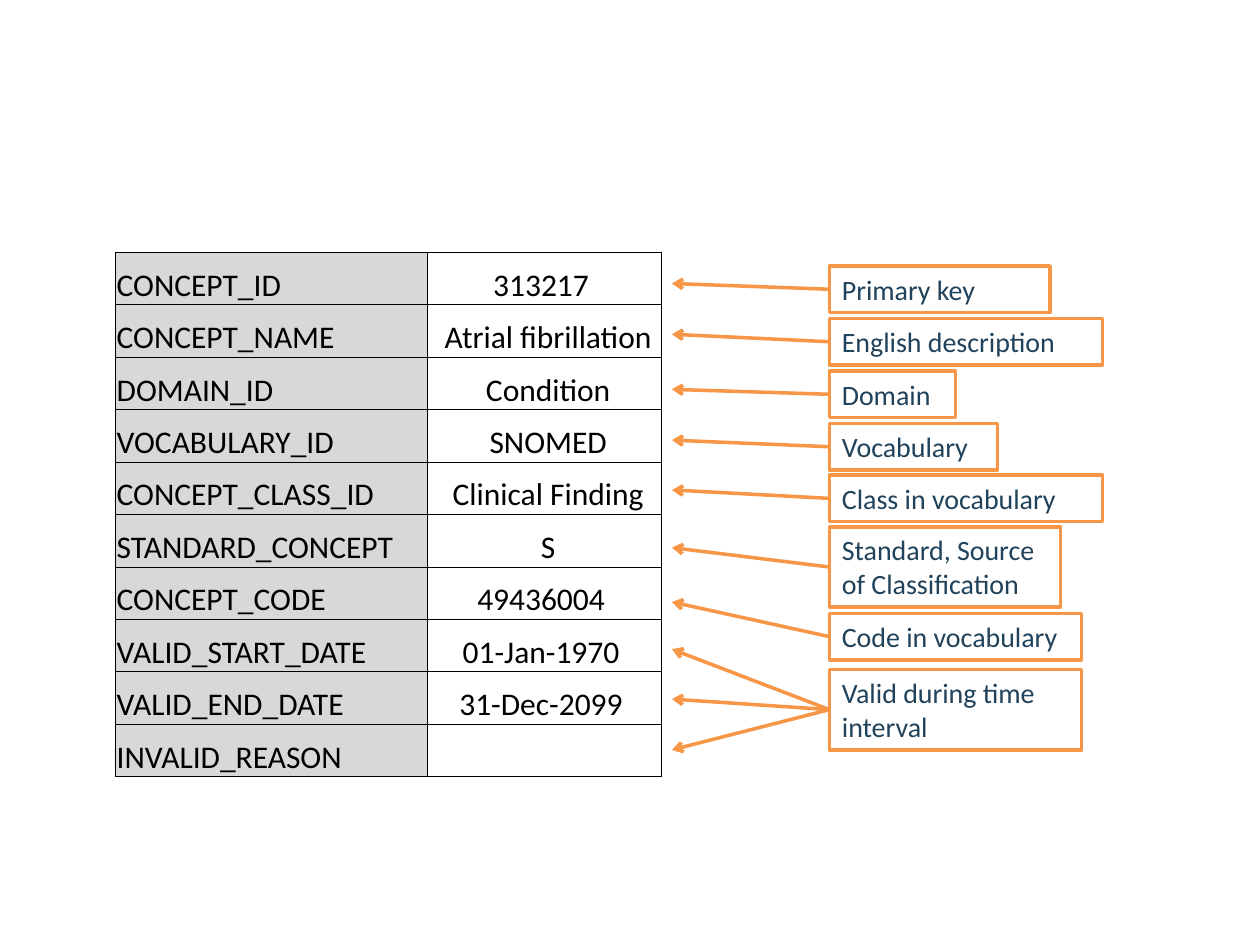
from dataclasses import dataclass

from lxml.etree import SubElement
from pptx import Presentation
from pptx.dml.color import RGBColor
from pptx.enum.shapes import MSO_CONNECTOR as Connector, MSO_SHAPE as Shape
from pptx.enum.text import MSO_ANCHOR as Anchor, MSO_AUTO_SIZE as AutoSize, PP_ALIGN as Align
from pptx.oxml.ns import qn
from pptx.slide import Slide
from pptx.util import Pt


@dataclass(frozen=True)
class Theme:
    font: str = "Calibri"
    accent: RGBColor = RGBColor(0xF7, 0x96, 0x46)
    note_text: RGBColor = RGBColor(0x20, 0x42, 0x5A)
    cell_text: RGBColor = RGBColor(0, 0, 0)
    field_fill: RGBColor = RGBColor(0xD8, 0xD8, 0xD8)
    paper: RGBColor = RGBColor(0xFF, 0xFF, 0xFF)
    border: str = "000000"
    note_size: float = 16
    cell_size: float = 18
    border_width: float = 0.5
    line_width: float = 2


@dataclass(frozen=True)
class Field:
    name: str
    value: str


@dataclass(frozen=True)
class Note:
    text: str
    top: float
    width: float
    tips: tuple[float, ...]
    lines: int = 1


THEME = Theme()
TABLE_LEFT, TABLE_TOP, ROW_HEIGHT = 66, 144, 30
COLUMNS = (178.5, 133.5)
NOTE_LEFT, TIP_X = 474, 384
NOTE_HEIGHTS = {1: 26.6, 2: 46}

FIELDS = (
    Field("CONCEPT_ID", "313217 "),
    Field("CONCEPT_NAME", " Atrial fibrillation"),
    Field("DOMAIN_ID", " Condition"),
    Field("VOCABULARY_ID", " SNOMED"),
    Field("CONCEPT_CLASS_ID", " Clinical Finding"),
    Field("STANDARD_CONCEPT", " S"),
    Field("CONCEPT_CODE", "49436004 "),
    Field("VALID_START_DATE", "01-Jan-1970 "),
    Field("VALID_END_DATE", "31-Dec-2099 "),
    Field("INVALID_REASON", ""),
)

NOTES = (
    Note("Primary key", 152, 126, (162,)),
    Note("English description", 182, 156, (191,)),
    Note("Domain", 212, 72, (222.5,)),
    Note("Vocabulary", 242, 96, (251.5,)),
    Note("Class in vocabulary", 271.5, 156, (280,)),
    Note("Standard, Source of Classification", 301, 132, (313,), 2),
    Note("Code in vocabulary", 350.5, 144, (344,)),
    Note("Valid during time interval", 382.5, 144, (371, 399.5, 428.5), 2),
)


def style_text(p, size: float, color: RGBColor, align: Align) -> None:
    p.alignment = align
    p.font.name = THEME.font
    p.font.size = Pt(size)
    p.font.bold = False
    p.font.color.rgb = color


def add_borders(cell) -> None:
    tc_pr = cell._tc.get_or_add_tcPr()
    for side in ("L", "R", "T", "B"):
        ln = SubElement(tc_pr, qn(f"a:ln{side}"), w=str(Pt(THEME.border_width)))
        fill = SubElement(ln, qn("a:solidFill"))
        SubElement(fill, qn("a:srgbClr"), val=THEME.border)


def fill_cell(cell, text: str, align: Align) -> None:
    cell.text = text
    cell.vertical_anchor = Anchor.BOTTOM
    cell.margin_left = cell.margin_right = cell.margin_top = Pt(0.72)
    cell.margin_bottom = 0
    style_text(cell.text_frame.paragraphs[0], THEME.cell_size, THEME.cell_text, align)
    add_borders(cell)


def add_field_table(s: Slide, fields: tuple[Field, ...]) -> None:
    table = s.shapes.add_table(
        len(fields), len(COLUMNS), Pt(TABLE_LEFT), Pt(TABLE_TOP),
        Pt(sum(COLUMNS)), Pt(ROW_HEIGHT * len(fields)),
    ).table
    table.first_row = table.horz_banding = False
    for column, width in zip(table.columns, COLUMNS):
        column.width = Pt(width)
    for row, field in zip(table.rows, fields):
        row.height = Pt(ROW_HEIGHT)
        name, value = row.cells
        fill_cell(name, field.name, Align.LEFT)
        name.fill.solid()
        name.fill.fore_color.rgb = THEME.field_fill
        fill_cell(value, field.value, Align.CENTER)
        value.fill.background()


def add_arrow(s: Slide, box, tip: float) -> None:
    arrow = s.shapes.add_connector(
        Connector.STRAIGHT, box.left, box.top + box.height // 2, Pt(TIP_X), Pt(tip)
    )
    arrow.begin_connect(box, 1)
    arrow.line.color.rgb = THEME.accent
    arrow.line.width = Pt(THEME.line_width)
    SubElement(arrow.line._get_or_add_ln(), qn("a:tailEnd"), type="arrow")
    SubElement(arrow._element.spPr, qn("a:effectLst"))


def add_note(s: Slide, note: Note) -> None:
    box = s.shapes.add_shape(
        Shape.RECTANGLE, Pt(NOTE_LEFT), Pt(note.top),
        Pt(note.width), Pt(NOTE_HEIGHTS[note.lines]),
    )
    box.shadow.inherit = False
    box.fill.solid()
    box.fill.fore_color.rgb = THEME.paper
    box.line.color.rgb = THEME.accent
    box.line.width = Pt(THEME.line_width)
    tf = box.text_frame
    tf.text = note.text
    tf.word_wrap = True
    tf.auto_size = AutoSize.SHAPE_TO_FIT_TEXT
    tf.vertical_anchor = Anchor.TOP
    style_text(tf.paragraphs[0], THEME.note_size, THEME.note_text, Align.LEFT)
    for tip in note.tips:
        add_arrow(s, box, tip)


def main() -> None:
    prs = Presentation()
    prs.slide_width, prs.slide_height = Pt(720), Pt(540)
    s = prs.slides.add_slide(prs.slide_layouts[6])
    add_field_table(s, FIELDS)
    for note in NOTES:
        add_note(s, note)
    prs.save("out.pptx")


if __name__ == "__main__":
    main()
